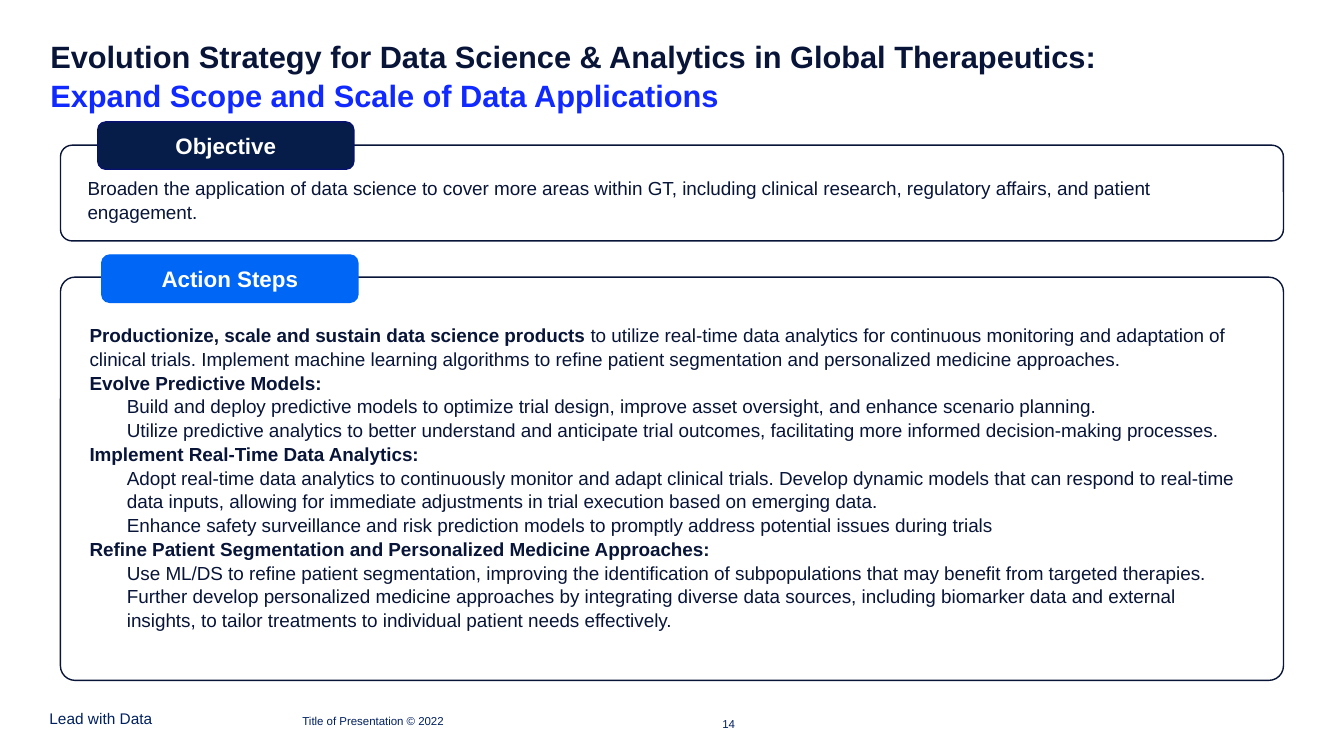
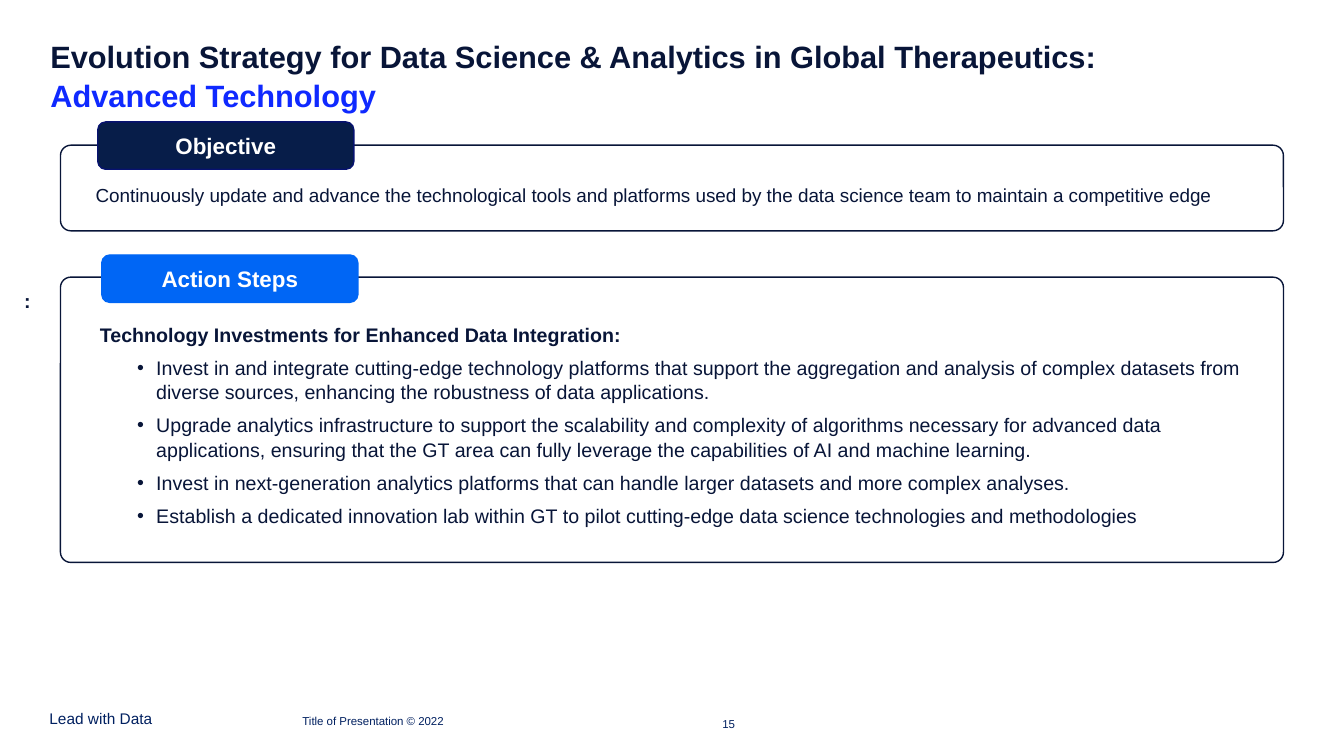
from lxml.etree import SubElement
from pptx import Presentation
from pptx.dml.color import RGBColor
from pptx.enum.shapes import MSO_SHAPE
from pptx.enum.text import MSO_ANCHOR, PP_ALIGN
from pptx.oxml.ns import qn
from pptx.util import Inches, Pt

W, H = 13.33, 7.5
FONT = "Arial"
COLORS = {
    "ink": "081538",
    "accent": "0F29FF",
    "footer": "002060",
    "navy": "071D49",
    "navy_line": "071270",
    "blue": "0066F5",
    "white": "FFFFFF",
}
TITLE = "Evolution Strategy for Data Science & Analytics in Global Therapeutics: "
TAGLINE = "Lead with Data"
FOOTER = "Title of Presentation © 2022"
FIRST_PAGE = 14

PANEL_LEFT, PANEL_W = 0.6, 12.13
TAB_W, TAB_H = 2.54, 0.47
# label, panel top, corner ratio, tab left, tab top, tab fill, tab line
PANELS = {
    "objective": ("Objective", 1.44, 0.122, 0.97, 1.21, "navy", "navy_line"),
    "actions": ("Action Steps", 2.75, 0.036, 1.01, 2.53, "blue", "blue"),
}

# paragraph styles: left margin, bold first run, bullet
STYLES = {
    "mark": (0, True, False),
    "lead": (0.38, True, False),
    "detail": (0.75, False, False),
    "heading": (0.75, True, False),
    "bullet": (1.31, False, True),
}
HANG = 0.19

# boxes are left, top, width, height; a paragraph is a style and its runs
SLIDES = [
    {
        "subtitle": "Expand Scope and Scale of Data Applications",
        "heights": {"objective": 0.95, "actions": 4},
        "objective": "Broaden the application of data science to cover more areas within GT, "
                     "including clinical research, regulatory affairs, and patient engagement.",
        "objective_box": (0.77, 1.69, 11.83, 0.56),
        "steps_box": (0.41, 3.15, 11.99, 3.28),
        "steps_format": {"size": 13.5},
        "steps": [
            ("lead", "Productionize, scale and sustain data science products ",
             "to utilize real-time data analytics for continuous monitoring and adaptation of "
             "clinical trials. Implement machine learning algorithms to refine patient "
             "segmentation and personalized medicine approaches."),
            ("lead", "Evolve Predictive Models:"),
            ("detail", "Build and deploy predictive models to optimize trial design, improve "
                       "asset oversight, and enhance scenario planning."),
            ("detail", "Utilize predictive analytics to better understand and anticipate trial "
                       "outcomes, facilitating more informed decision-making processes."),
            ("lead", "Implement Real-Time Data Analytics:"),
            ("detail", "Adopt real-time data analytics to continuously monitor and adapt clinical "
                       "trials. Develop dynamic models that can respond to real-time data inputs, "
                       "allowing for immediate adjustments in trial execution based on emerging "
                       "data."),
            ("detail", "Enhance safety surveillance and risk prediction models to promptly "
                       "address potential issues during trials"),
            ("lead", "Refine Patient Segmentation and Personalized Medicine Approaches:"),
            ("detail", "Use ML/DS to refine patient segmentation, improving the identification of "
                       "subpopulations that may benefit from targeted therapies."),
            ("detail", "Further develop personalized medicine approaches by integrating diverse "
                       "data sources, including biomarker data and external insights, to tailor "
                       "treatments to individual patient needs effectively."),
        ],
    },
    {
        "subtitle": "Advanced Technology",
        "heights": {"objective": 0.85, "actions": 2.83},
        "objective": "Continuously update and advance the technological tools and platforms used "
                     "by the data science team to maintain a competitive edge",
        "objective_box": (0.85, 1.76, 11.52, 0.33),
        "steps_box": (0.24, 2.86, 12.13, 2.6),
        "steps_format": {"size": 14, "before": 6, "inset": False},
        "steps": [
            ("mark", ":"),
            ("heading", "Technology Investments for Enhanced Data Integration:"),
            ("bullet", "Invest in and integrate cutting-edge technology platforms that support "
                       "the aggregation and analysis of complex datasets from diverse sources, "
                       "enhancing the robustness of data applications."),
            ("bullet", "Upgrade analytics infrastructure to support the scalability and "
                       "complexity of algorithms necessary for advanced data applications, "
                       "ensuring that the GT area can fully leverage the capabilities of AI and "
                       "machine learning."),
            ("bullet", "Invest in next-generation analytics platforms that can handle larger "
                       "datasets and more complex analyses."),
            ("bullet", "Establish a dedicated innovation lab within GT to pilot cutting-edge "
                       "data science technologies and methodologies"),
        ],
    },
]


def rgb(name):
    return RGBColor.from_string(COLORS[name])


def add_run(p, text, size, color="ink", bold=False):
    r = p.add_run()
    r.text = text
    r.font.name, r.font.size, r.font.bold = FONT, Pt(size), bold
    r.font.color.rgb = rgb(color)


def add_box(s, box, inset=True, anchor=MSO_ANCHOR.TOP):
    tf = s.shapes.add_textbox(*map(Inches, box)).text_frame
    tf.word_wrap = True
    tf.vertical_anchor = anchor
    if not inset:
        tf.margin_left = tf.margin_right = tf.margin_top = tf.margin_bottom = 0
    tf.paragraphs[0].line_spacing = 1.05
    return tf


def add_round_rect(s, box, line, fill=None, corner=None):
    sp = s.shapes.add_shape(MSO_SHAPE.ROUNDED_RECTANGLE, *map(Inches, box))
    sp.shadow.inherit = False
    sp.line.color.rgb, sp.line.width = rgb(line), Pt(1)
    if fill:
        sp.fill.solid()
        sp.fill.fore_color.rgb = rgb(fill)
    else:
        sp.fill.background()
    if corner:
        sp.adjustments[0] = corner
    return sp


def add_panel(s, key, height):
    """Outlined panel with a filled label tab over its top edge."""
    label, top, corner, tab_left, tab_top, fill, line = PANELS[key]
    add_round_rect(s, (PANEL_LEFT, top, PANEL_W, height), "ink", corner=corner)
    tab = add_round_rect(s, (tab_left, tab_top, TAB_W, TAB_H), line, fill)
    tf = tab.text_frame
    tf.vertical_anchor = MSO_ANCHOR.MIDDLE
    tf.paragraphs[0].alignment = PP_ALIGN.CENTER
    add_run(tf.paragraphs[0], label, 16, "white", True)


def indent(p, left, bullet):
    pPr = p._p.get_or_add_pPr()
    pPr.set("marL", str(Inches(left)))
    pPr.set("indent", str(-Inches(HANG) if bullet else 0))
    if bullet:
        SubElement(pPr, qn("a:buFont")).set("typeface", FONT)
        SubElement(pPr, qn("a:buChar")).set("char", "•")
    else:
        SubElement(pPr, qn("a:buNone"))


def add_steps(s, box, steps, size, before=0, inset=True):
    tf = add_box(s, box, inset)
    for i, (style, *texts) in enumerate(steps):
        p = tf.add_paragraph() if i else tf.paragraphs[0]
        left, bold, bullet = STYLES[style]
        p.line_spacing, p.space_before = 1.05, Pt(before)
        indent(p, left, bullet)
        for j, text in enumerate(texts):
            add_run(p, text, size, bold=bold and j == 0)


def add_frame(s, subtitle, page):
    """Title and footer shared by every slide."""
    p = add_box(s, (0.5, 0.36, 11.33, 1.08), inset=False).paragraphs[0]
    add_run(p, TITLE, 22, bold=True)
    add_run(p, subtitle, 22, "accent", True)
    for text, box, size, align in (
        (TAGLINE, (0.49, 7, 1.76, 0.22), 11, PP_ALIGN.LEFT),
        (FOOTER, (3, 7, 3.43, 0.22), 8.2, PP_ALIGN.LEFT),
        (str(page), (6.71, 7.03, 0.58, 0.22), 8.2, PP_ALIGN.RIGHT),
    ):
        p = add_box(s, box, inset=False, anchor=MSO_ANCHOR.BOTTOM).paragraphs[0]
        p.alignment, p.line_spacing = align, 1.0
        add_run(p, text, size, "footer")


def main():
    prs = Presentation()
    prs.slide_width, prs.slide_height = Inches(W), Inches(H)
    for page, content in enumerate(SLIDES, FIRST_PAGE):
        s = prs.slides.add_slide(prs.slide_layouts[6])
        add_frame(s, content["subtitle"], page)
        for key, height in content["heights"].items():
            add_panel(s, key, height)
        p = add_box(s, content["objective_box"]).paragraphs[0]
        add_run(p, content["objective"], 13.5)
        add_steps(s, content["steps_box"], content["steps"], **content["steps_format"])
    prs.save("out.pptx")


if __name__ == "__main__":
    main()
